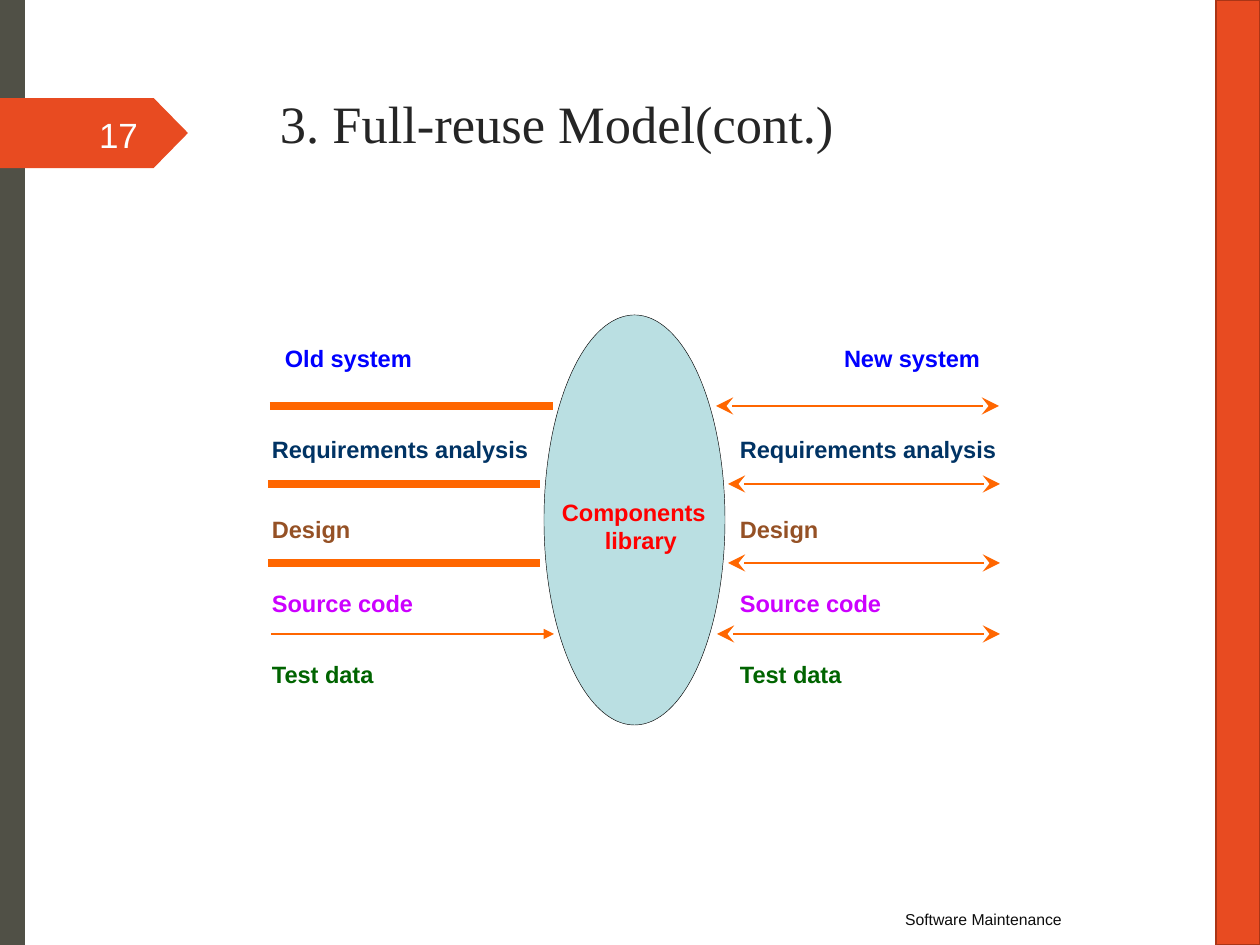
"""Build the slide on the full-reuse model of software maintenance."""
from pptx import Presentation
from pptx.dml.color import RGBColor
from pptx.enum.shapes import MSO_CONNECTOR, MSO_SHAPE
from pptx.enum.text import MSO_ANCHOR, MSO_AUTO_SIZE, PP_ALIGN
from pptx.oxml.ns import qn
from pptx.util import Emu, Pt
from lxml.etree import SubElement

BLACK = RGBColor(0x00, 0x00, 0x00)
INK = RGBColor(0x25, 0x25, 0x25)
NEAR_BLACK = RGBColor(0x0D, 0x0D, 0x0D)
WHITE = RGBColor(0xFD, 0xFF, 0xFF)
GREY = RGBColor(0x50, 0x50, 0x46)
ACCENT = RGBColor(0xE8, 0x4B, 0x21)
ACCENT_DARK = RGBColor(0xAA, 0x35, 0x16)
ORANGE = RGBColor(0xFF, 0x66, 0x00)
PALE_BLUE = RGBColor(0xBA, 0xDF, 0xE2)
BLUE = RGBColor(0x00, 0x00, 0xFF)
RED = RGBColor(0xFF, 0x00, 0x00)
NAVY = RGBColor(0x00, 0x33, 0x64)
BROWN = RGBColor(0x95, 0x51, 0x25)
PURPLE = RGBColor(0xCC, 0x00, 0xFF)
GREEN = RGBColor(0x00, 0x64, 0x00)

TITLE = "3. Full-reuse Model(cont.)"
SYSTEMS = [("Old system", 285), ("New system", 844)]
COLUMNS = [272, 740]
STAGES = [
    ("Requirements analysis", NAVY, 435),
    ("Design", BROWN, 515),
    ("Source code", PURPLE, 589),
    ("Test data", GREEN, 660),
]
FLOWS = [
    (406, (270, 553), (716, 999)),
    (484, (268, 540), (728, 1000)),
    (563, (268, 540), (728, 1000)),
    (634, (271, 554), (717, 1000)),
]
BAR, ARROW = 4.44, 1.5


def px(n):
    return Emu(round(n * 914400 / 126))


def add_block(s, kind, box, fill, line=None, width=0):
    sp = s.shapes.add_shape(kind, *map(px, box))
    sp.shadow.inherit = False
    sp.fill.solid()
    sp.fill.fore_color.rgb = fill
    if line is None:
        sp.line.fill.background()
    else:
        sp.line.color.rgb = line
        sp.line.width = Pt(width)
    return sp


def write(sp, box, text, size, color, bold=False, font="Arial"):
    sp.left, sp.top, sp.width, sp.height = map(px, box)
    tf = sp.text_frame
    tf.word_wrap = True
    tf.auto_size = MSO_AUTO_SIZE.NONE
    tf.vertical_anchor = MSO_ANCHOR.TOP
    tf.margin_left = tf.margin_top = tf.margin_right = tf.margin_bottom = 0
    tf.text = text
    p = tf.paragraphs[0]
    p.alignment = PP_ALIGN.LEFT
    p.font.name, p.font.size, p.font.bold = font, Pt(size), bold
    p.font.color.rgb = color
    return p


def add_text(s, box, *style):
    return write(s.shapes.add_textbox(0, 0, 0, 0), box, *style)


def add_flow(s, y, span, width, heads):
    x1, x2 = span
    cn = s.shapes.add_connector(MSO_CONNECTOR.STRAIGHT, px(x1), px(y), px(x2), px(y))
    cn.line.color.rgb = ORANGE
    cn.line.width = Pt(width)
    ln = cn.line._get_or_add_ln()
    for end, kind, size in heads:
        SubElement(ln, qn(f"a:{end}"), type=kind, w=size, len=size)
    SubElement(cn._element.spPr, qn("a:effectLst"))


def main():
    prs = Presentation()
    prs.slide_width, prs.slide_height = px(1260), px(945)
    s = prs.slides.add_slide(prs.slide_layouts[5])

    add_block(s, MSO_SHAPE.RECTANGLE, (0, 0, 25, 945), GREY)
    add_block(s, MSO_SHAPE.RECTANGLE, (1216, 0, 44, 945), ACCENT, ACCENT_DARK, 1.2)
    tag = add_block(s, MSO_SHAPE.PENTAGON, (0, 98, 188, 70), ACCENT)
    tag.adjustments[0] = 0.49
    write(s.shapes.title, (280, 91, 560, 67), TITLE, 30, INK, False, "Times New Roman")
    add_text(s, (99, 113, 46, 42), "17", 20, WHITE)

    add_block(s, MSO_SHAPE.OVAL, (544, 315, 181, 410), PALE_BLUE, BLACK, 0.25)
    p = add_text(s, (562, 498, 149, 56), "Components library", 13.5, RED, True)
    pPr = p._p.get_or_add_pPr()
    pPr.set("marL", str(px(43)))
    pPr.set("indent", str(-px(43)))

    for text, x in SYSTEMS:
        add_text(s, (x, 344, 145, 28), text, 13.5, BLUE, True)
    for x in COLUMNS:
        for text, color, y in STAGES:
            add_text(s, (x, y, 265, 28), text, 13.5, color, True)

    both = [("headEnd", "stealth", "lg"), ("tailEnd", "stealth", "lg")]
    for y, old, new in FLOWS:
        last = y == FLOWS[-1][0]
        heads = [("tailEnd", "triangle", "med")] if last else []
        add_flow(s, y, old, ARROW if last else BAR, heads)
        add_flow(s, y, new, ARROW, both)

    add_text(s, (905, 910, 170, 22), "Software Maintenance", 9, NEAR_BLACK)
    prs.save("out.pptx")


if __name__ == "__main__":
    main()
